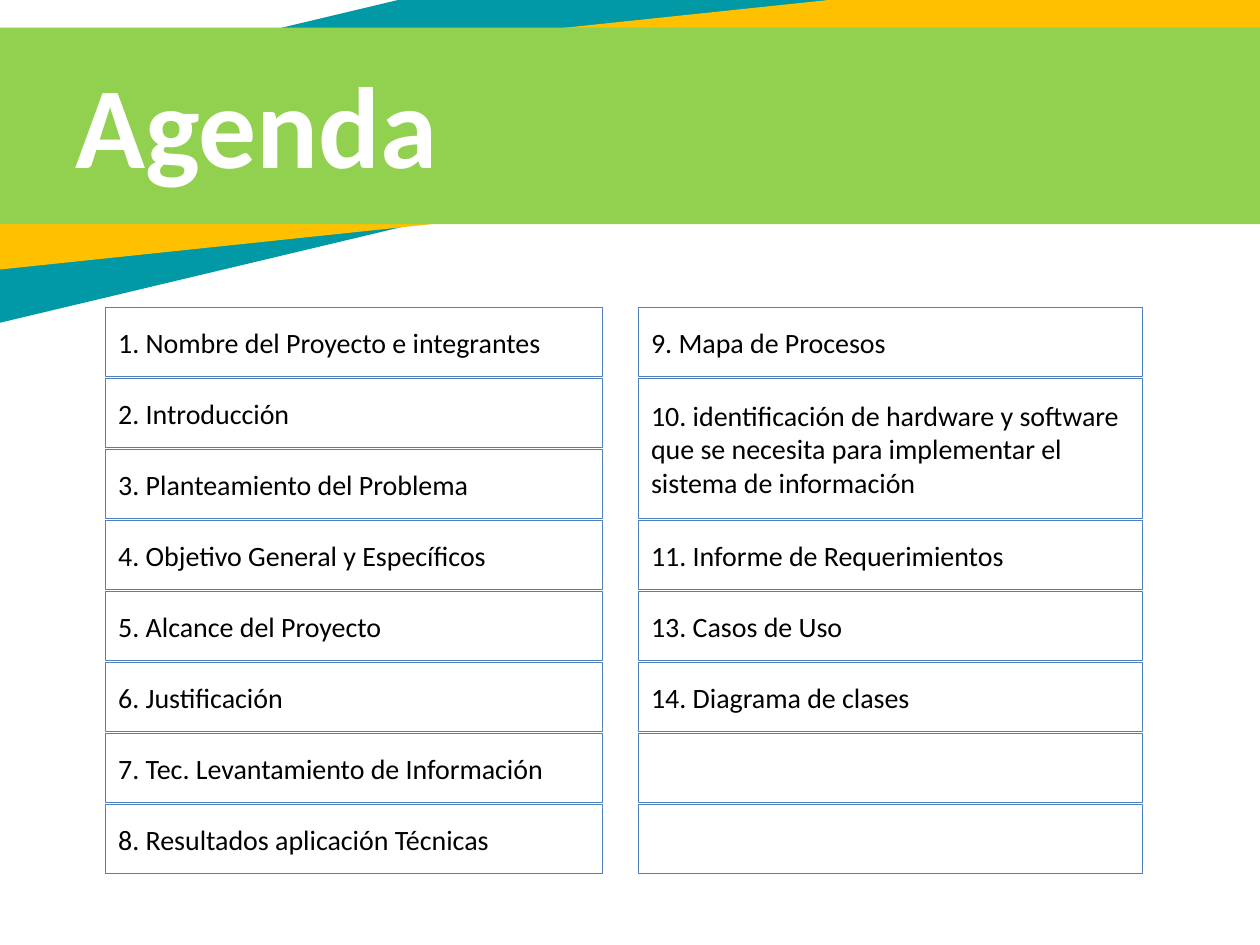
import dataclasses

import pptx
import pptx.dml.color
import pptx.enum.shapes
import pptx.enum.text
import pptx.util

Pt = pptx.util.Pt


@dataclasses.dataclass(frozen=True)
class Theme:
    font: str = "Calibri"
    title_size: float = 66
    item_size: float = 16
    teal: str = "0099A5"
    amber: str = "FFC000"
    green: str = "92D050"
    outline: str = "4F81BD"
    title_color: str = "FFFFFF"
    item_color: str = "000000"


THEME = Theme()

# Agenda grid, in points
GRID_TOP = 175.7
ROW_PITCH = 40.55
ROW_HEIGHT = 39.6

# Each item is its text and the number of rows it fills
LEFT_ITEMS = [
    ("1. Nombre del Proyecto e integrantes", 1),
    ("2. Introducción", 1),
    ("3. Planteamiento del Problema", 1),
    ("4. Objetivo General y Específicos", 1),
    ("5. Alcance del Proyecto", 1),
    ("6. Justificación", 1),
    ("7. Tec. Levantamiento de Información", 1),
    ("8. Resultados aplicación Técnicas", 1),
]
RIGHT_ITEMS = [
    ("9. Mapa de Procesos", 1),
    ("10. identificación de hardware y software\n"
     "que se necesita para implementar el\n"
     "sistema de información", 2),
    ("11. Informe de Requerimientos", 1),
    ("13. Casos de Uso", 1),
    ("14. Diagrama de clases", 1),
    ("", 1),
    ("", 1),
]


def rgb(color):
    return pptx.dml.color.RGBColor.from_string(color)


def add_rectangle(page, left, top, width, height):
    shape = page.shapes.add_shape(
        pptx.enum.shapes.MSO_SHAPE.RECTANGLE,
        Pt(left), Pt(top), Pt(width), Pt(height))
    shape.shadow.inherit = False
    return shape


def add_band(page, left, top, width, height, color, rotation=0):
    band = add_rectangle(page, left, top, width, height)
    band.rotation = rotation
    band.fill.solid()
    band.fill.fore_color.rgb = rgb(color)
    band.line.fill.background()


def write_text(box, text, size, color, bold=False):
    frame = box.text_frame
    frame.text = text
    frame.word_wrap = True
    frame.vertical_anchor = pptx.enum.text.MSO_ANCHOR.MIDDLE
    for para in frame.paragraphs:
        para.alignment = pptx.enum.text.PP_ALIGN.LEFT
        for span in para.runs:
            span.font.name = THEME.font
            span.font.size = Pt(size)
            span.font.bold = bold
            span.font.color.rgb = rgb(color)


def add_title(page, text):
    box = page.shapes.add_textbox(Pt(36), Pt(35.3), Pt(473.8), Pt(69.8))
    write_text(box, text, THEME.title_size, THEME.title_color, bold=True)


def add_agenda_column(page, left, width, items):
    row = 0
    for text, rows in items:
        height = ROW_HEIGHT + (rows - 1) * ROW_PITCH
        box = add_rectangle(page, left, GRID_TOP + row * ROW_PITCH, width, height)
        box.fill.background()
        box.line.color.rgb = rgb(THEME.outline)
        box.line.width = Pt(0.75)
        if text:
            write_text(box, text, THEME.item_size, THEME.item_color)
        row += rows


def main():
    deck = pptx.Presentation()
    deck.slide_width, deck.slide_height = Pt(720), Pt(540)
    page = deck.slides.add_slide(deck.slide_layouts[6])

    # Crossed header bands
    add_band(page, -180.7, -13, 940.3, 126.7, THEME.teal, rotation=346.6)
    add_band(page, -79.2, 14.4, 837.4, 103.7, THEME.amber, rotation=354)
    add_band(page, -76.3, 15.8, 837.4, 112.3, THEME.green)
    add_title(page, "Agenda")

    # Agenda in two columns
    add_agenda_column(page, 60.5, 283.7, LEFT_ITEMS)
    add_agenda_column(page, 365, 288, RIGHT_ITEMS)

    deck.save("out.pptx")


if __name__ == "__main__":
    main()
